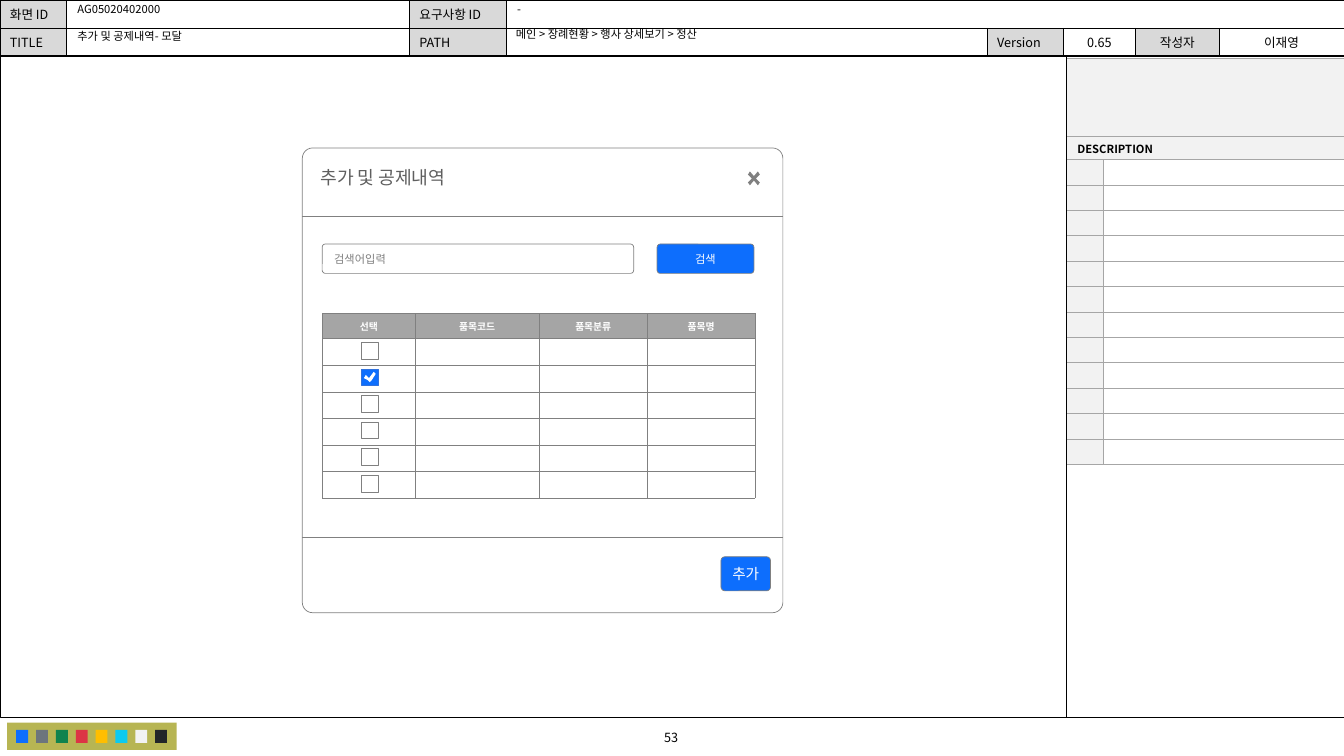
from dataclasses import dataclass

from lxml.etree import SubElement
from pptx import Presentation
from pptx.dml.color import RGBColor
from pptx.enum.shapes import MSO_CONNECTOR as Connector, MSO_SHAPE as Preset
from pptx.enum.text import MSO_ANCHOR as Anchor, PP_ALIGN as Align
from pptx.oxml.ns import qn
from pptx.shapes.autoshape import Shape
from pptx.table import Table
from pptx.text.text import TextFrame
from pptx.util import Cm, Pt

NOTO, LATO = "Noto Sans CJK KR", "Lato"
BLACK, WHITE, GRAY, BLUE = "000000", "FFFFFF", "808080", "0D6EFD"
LABEL, PANEL, RULE, HEADING = "D9D9D9", "F2F2F2", "A6A6A6", "A5A5A5"
Margins = tuple[float, float, float, float]


@dataclass
class Style:
    size: float
    color: str = BLACK
    font: str = NOTO
    bold: bool = False
    align: Align = Align.LEFT
    anchor: Anchor = Anchor.MIDDLE
    margins: Margins = (0.25, 0.13, 0.25, 0.13)
    wrap: bool = True
    spacing: float = 1.0


@dataclass
class Box:
    left: float
    top: float
    width: float
    height: float
    fill: str | None = None
    line: str | None = None
    weight: float = 0.5
    radius: float | None = None
    text: str = ""
    style: Style | None = None


@dataclass
class Grid:
    left: float
    top: float
    columns: list[float]
    rows: list[float]
    border: str
    weight: float
    style: Style


def rgb(color: str) -> RGBColor:
    return RGBColor.from_string(color)


def write(frame: TextFrame, text: str, style: Style) -> None:
    frame.text = text
    frame.word_wrap = style.wrap
    paragraph = frame.paragraphs[0]
    paragraph.alignment = style.align
    paragraph.line_spacing = style.spacing
    for run in paragraph.runs:
        run.font.size = Pt(style.size)
        run.font.name = style.font
        run.font.bold = style.bold
        run.font.color.rgb = rgb(style.color)
        SubElement(run.font._element, qn("a:ea"), typeface=NOTO)
    SubElement(paragraph._p, qn("a:endParaRPr"), sz=str(int(style.size * 100)))


def inset(holder, style: Style) -> None:
    left, top, right, bottom = (Cm(margin) for margin in style.margins)
    holder.margin_left, holder.margin_top = left, top
    holder.margin_right, holder.margin_bottom = right, bottom
    holder.vertical_anchor = style.anchor


def paint(shape: Shape, fill: str | None, line: str | None, weight: float) -> None:
    shape.shadow.inherit = False
    if fill:
        shape.fill.solid()
        shape.fill.fore_color.rgb = rgb(fill)
    else:
        shape.fill.background()
    if line:
        shape.line.color.rgb = rgb(line)
        shape.line.width = Pt(weight)
    else:
        shape.line.fill.background()


def draw_box(box: Box) -> None:
    preset = Preset.RECTANGLE if box.radius is None else Preset.ROUNDED_RECTANGLE
    shape = shapes.add_shape(preset, Cm(box.left), Cm(box.top), Cm(box.width), Cm(box.height))
    if box.radius is not None:
        shape.adjustments[0] = box.radius
    paint(shape, box.fill, box.line, box.weight)
    if box.style:
        write(shape.text_frame, box.text, box.style)
        inset(shape.text_frame, box.style)


def draw_text(box: Box) -> None:
    frame = shapes.add_textbox(Cm(box.left), Cm(box.top), Cm(box.width), Cm(box.height)).text_frame
    write(frame, box.text, box.style)
    inset(frame, box.style)


def draw_line(x1: float, y1: float, x2: float, y2: float, color: str) -> None:
    line = shapes.add_connector(Connector.STRAIGHT, Cm(x1), Cm(y1), Cm(x2), Cm(y2))
    line.line.color.rgb = rgb(color)
    line.line.width = Pt(0.5)
    SubElement(line._element.spPr, qn("a:effectLst"))


def draw_outline(points: list[tuple[float, float]], fill: str) -> None:
    start, *rest = [(Cm(x), Cm(y)) for x, y in points]
    builder = shapes.build_freeform(*start)
    builder.add_line_segments(rest, close=True)
    paint(builder.convert_to_shape(), fill, None, 0)


def draw_grid(grid: Grid) -> Table:
    table = shapes.add_table(len(grid.rows), len(grid.columns), Cm(grid.left), Cm(grid.top),
                             Cm(sum(grid.columns)), Cm(sum(grid.rows))).table
    table.first_row = table.horz_banding = False
    for column, width in zip(table.columns, grid.columns):
        column.width = Cm(width)
    for row, height in zip(table.rows, grid.rows):
        row.height = Cm(height)
    return table


def fill_cell(table: Table, grid: Grid, row: int, column: int, text: str, fill: str,
              align: Align = Align.LEFT, sides: str = "LRTB") -> None:
    cell = table.cell(row, column)
    write(cell.text_frame, text, grid.style)
    cell.text_frame.paragraphs[0].alignment = align
    inset(cell, grid.style)
    properties = cell._tc.get_or_add_tcPr()
    for side in "LRTB":
        line = SubElement(properties, qn(f"a:ln{side}"), w=str(Pt(grid.weight)))
        if side in sides:
            SubElement(SubElement(line, qn("a:solidFill")), qn("a:srgbClr"), val=grid.border)
        else:
            SubElement(line, qn("a:noFill"))
    cell.fill.solid()
    cell.fill.fore_color.rgb = rgb(fill)


def draw_header() -> None:
    grid = Grid(0, 0, [1.68, 8.64, 2.44, 12.12, 1.91, 1.83, 2.1, 3.15], [0.71, 0.71],
                BLACK, 0.5, Style(9, margins=(0.25, 0.1, 0.25, 0.1)))
    table = draw_grid(grid)
    labels = [["화면 ID", "", "요구사항 ID", "", "", "", "", ""],
              ["TITLE", "", "PATH", "", "Version", "0.65", "작성자", "이재영"]]
    for row, texts in enumerate(labels):
        for column, text in enumerate(texts):
            fill = LABEL if text and column % 2 == 0 else WHITE
            align = Align.CENTER if column > 4 else Align.LEFT
            fill_cell(table, grid, row, column, text, fill, align)
    table.cell(0, 3).merge(table.cell(0, 7))


def draw_description() -> None:
    grid = Grid(26.9, 1.47, [0.91, 6.06], [1.97, 0.58] + [0.64] * 12, RULE, 0.5,
                Style(8, bold=True, margins=(0.25, 0.06, 0.25, 0.02)))
    table = draw_grid(grid)
    for row in range(len(grid.rows)):
        merged = row < 2
        for column in range(2):
            text = "DESCRIPTION" if (row, column) == (1, 0) else ""
            sides = "TB" if merged else "TB" + "RL"[column]
            fill = PANEL if merged or column == 0 else WHITE
            fill_cell(table, grid, row, column, text, fill, sides=sides)
        if merged:
            table.cell(row, 0).merge(table.cell(row, 1))


def draw_items() -> None:
    grid = Grid(8.13, 7.9, [2.33, 3.13, 2.72, 2.72], [0.63] + [0.67] * 6, GRAY, 0.25,
                Style(7, WHITE, bold=True, margins=(0.13, 0.08, 0.13, 0.08)))
    table = draw_grid(grid)
    for column, heading in enumerate(["선택", "품목코드", "품목분류", "품목명"]):
        for row in range(len(grid.rows)):
            text, fill = ("", WHITE) if row else (heading, HEADING)
            fill_cell(table, grid, row, column, text, fill, Align.CENTER)
    for item in range(6):
        fill, line = (BLUE, "3272DD") if item == 1 else (WHITE, GRAY)
        draw_box(Box(9.12, 8.63 + 0.67 * item, 0.42, 0.42, fill, line))
    draw_outline([(9.42, 9.37), (9.3, 9.53), (9.22, 9.45), (9.17, 9.53), (9.27, 9.58),
                  (9.32, 9.63), (9.37, 9.58), (9.47, 9.42)], WHITE)


def draw_modal() -> None:
    title = Style(13, "5F5F5F", LATO, anchor=Anchor.TOP, margins=(0.38, 0.38, 0.25, 0.13))
    field = Style(8, GRAY, LATO, margins=(0.28, 0.1, 0.28, 0.1))
    search = Style(8, WHITE, LATO, align=Align.CENTER, margins=(0.28, 0.1, 0.28, 0.1))
    add = Style(10.5, WHITE, LATO, align=Align.CENTER, wrap=False)
    draw_box(Box(7.62, 3.73, 12.11, 11.71, WHITE, GRAY, radius=0.022,
                 text="추가 및 공제내역", style=title))
    for divider in (5.46, 13.54):
        draw_line(7.62, divider, 19.72, divider, GRAY)
    draw_outline([(18.9, 4.32), (18.85, 4.4), (18.95, 4.5), (18.85, 4.6), (18.9, 4.67),
                  (19.0, 4.55), (19.1, 4.67), (19.15, 4.6), (19.05, 4.5), (19.15, 4.4),
                  (19.1, 4.32), (19.0, 4.44)], GRAY)
    draw_box(Box(16.56, 6.15, 2.44, 0.74, BLUE, GRAY, radius=0.108, text="검색", style=search))
    draw_box(Box(18.17, 14.03, 1.25, 0.86, BLUE, GRAY, radius=0.112, text="추가", style=add))
    draw_items()
    draw_box(Box(8.12, 6.15, 7.85, 0.74, WHITE, GRAY, radius=0.108,
                 text="검색어입력", style=field))


def draw_footer() -> None:
    draw_text(Box(13.64, 18.26, 6.55, 0.64, text="53", style=Style(9, align=Align.CENTER)))
    draw_box(Box(0.18, 18.21, 4.27, 0.69, "B7B553"))
    swatches = [BLUE, "6C757D", "10834E", "DC3545", "FFBE00", "0DCAF0", PANEL, "212529"]
    for order, swatch in enumerate(swatches):
        draw_box(Box(0.41 + 0.5 * order, 18.39, 0.3, 0.33, swatch))


def draw_details() -> None:
    detail = Style(8, anchor=Anchor.TOP, margins=(0.25, 0.07, 0.25, 0.07), spacing=0.9)
    for left, top, width, text in [
        (12.78, 0.03, 21.06, "-"),
        (1.7, 0.03, 8.64, "AG05020402000"),
        (1.7, 0.71, 8.59, "추가 및 공제내역- 모달"),
        (12.75, 0.66, 12.04, "메인 > 장례현황 > 행사 상세보기 > 정산"),
    ]:
        draw_text(Box(left, top, width, 0.58, text=text, style=detail))


deck = Presentation()
deck.slide_width, deck.slide_height = Cm(33.87), Cm(19.05)
shapes = deck.slides.add_slide(deck.slide_layouts[6]).shapes
draw_header()
draw_box(Box(0, 1.4, 33.87, 16.67, line=BLACK, weight=0.25))
draw_line(26.88, 1.42, 26.88, 18.07, BLACK)
draw_footer()
draw_details()
draw_modal()
draw_description()
deck.save("out.pptx")
